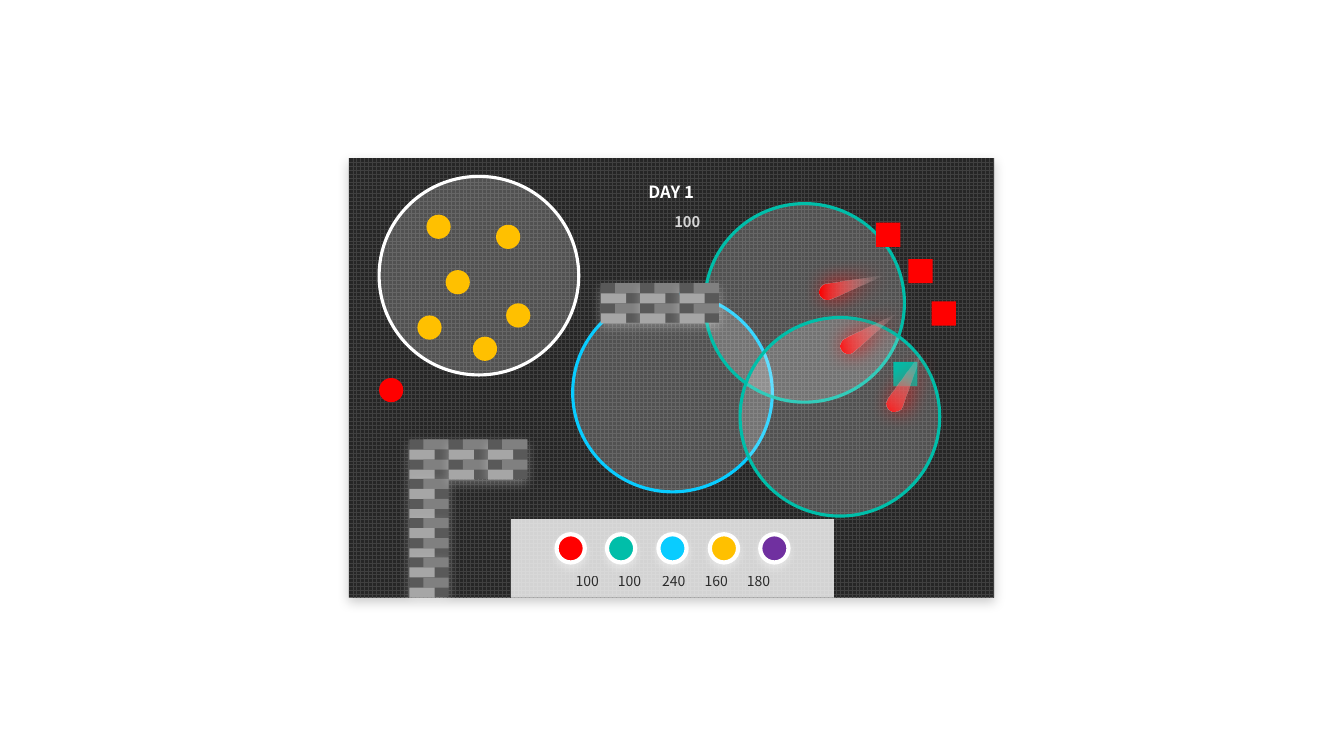
import math

from lxml import etree
from pptx import Presentation
from pptx.dml.color import RGBColor
from pptx.enum.dml import MSO_PATTERN
from pptx.enum.shapes import MSO_SHAPE
from pptx.enum.text import MSO_ANCHOR, MSO_AUTO_SIZE, PP_ALIGN
from pptx.oxml.ns import qn
from pptx.util import Pt

PX = 9144  # EMU; 100 px to the inch
FONT = "Noto Sans CJK SC"
RECT, ELLIPSE = MSO_SHAPE.RECTANGLE, MSO_SHAPE.OVAL
LARGE_GRID = MSO_PATTERN.LARGE_GRID
TOP, LEFT = MSO_ANCHOR.TOP, PP_ALIGN.LEFT
FIT_SHAPE, FIXED = MSO_AUTO_SIZE.SHAPE_TO_FIT_TEXT, MSO_AUTO_SIZE.NONE

BLACK = RGBColor(0x00, 0x00, 0x00)
WHITE = RGBColor(0xFF, 0xFF, 0xFF)
GRID = RGBColor(0x40, 0x40, 0x40)
GROUND = RGBColor(0x26, 0x26, 0x26)
MORTAR = RGBColor(0x59, 0x59, 0x59)
BRICK_DARK = RGBColor(0x80, 0x80, 0x80)
BRICK_LIGHT = RGBColor(0xA6, 0xA6, 0xA6)
RED = RGBColor(0xFF, 0x00, 0x00)
TEAL = RGBColor(0x00, 0xBE, 0xA9)
BLUE = RGBColor(0x09, 0xCC, 0xFF)
GOLD = RGBColor(0xFF, 0xC0, 0x00)
PURPLE = RGBColor(0x70, 0x30, 0xA0)


def set_alpha(element, percent):
    """Make the first RGB colour inside element see-through."""
    color = next(element.iter(qn("a:srgbClr")))
    etree.SubElement(color, qn("a:alpha"), val=str(percent * 1000))


class GameScreen:
    def __init__(self, page):
        self.page = page

    def shape(self, kind, left, top, width, height, fill=None, alpha=100,
              line=None, weight=0, parent=None):
        shapes = (parent or self.page).shapes
        shape = shapes.add_shape(kind, left * PX, top * PX, width * PX, height * PX)
        shape.shadow.inherit = False
        if fill is not None:
            shape.fill.solid()
            shape.fill.fore_color.rgb = fill
            if alpha < 100:
                set_alpha(shape.element, alpha)
        if line is None:
            shape.line.fill.background()
        else:
            shape.line.color.rgb = line
            shape.line.width = Pt(weight)
        return shape

    def glow(self, shape, color, alpha, blur, angle=90):
        """Cast a soft outer shadow three points away."""
        shape.shadow.inherit = False
        effects = next(shape.element.iter(qn("a:effectLst")))
        shadow = etree.SubElement(effects, qn("a:outerShdw"), blurRad=str(Pt(blur)),
                                  dist=str(Pt(3)), dir=str(angle * 60000),
                                  algn="ctr", rotWithShape="0")
        etree.SubElement(shadow, qn("a:srgbClr"), val=str(color))
        set_alpha(shadow, alpha)

    def ground(self):
        field = self.shape(RECT, 346, 157, 640, 436)
        field.fill.patterned()
        field.fill.pattern = LARGE_GRID
        field.fill.fore_color.rgb = GRID
        field.fill.back_color.rgb = GROUND
        self.glow(field, BLACK, 20, 8)

    def zone(self, left, top, line):
        self.shape(ELLIPSE, left, top, 198, 197, WHITE, 20, line, 2.25)

    def token(self, kind, left, top, fill):
        self.shape(kind, left, top, 24, 24, fill)

    def brick_tile(self, left, top):
        tile = self.page.shapes.add_group_shape()
        base = self.shape(RECT, left, top, 39, 39, MORTAR, parent=tile)
        self.glow(base, WHITE, 30, 8)
        for row in range(4):
            shift, fill = (0, BRICK_LIGHT) if row % 2 else (14, BRICK_DARK)
            self.shape(RECT, left + shift, top + 10 * row, 25, 10, fill, parent=tile)

    def comet(self, left, top, rotation=0):
        """Draw a round head with a tail fading to the upper right."""
        arc = [(80 + 80 * math.cos(math.radians(angle)),
                160 + 80 * math.sin(math.radians(angle)))
               for angle in range(70, 266, 5)]
        builder = self.page.shapes.build_freeform(630, 0, scale=PX / 10)
        builder.add_line_segments(arc, close=True)
        comet = builder.convert_to_shape(left * PX, top * PX)
        comet.rotation = rotation
        comet.line.fill.background()
        comet.fill.gradient()
        comet.fill.gradient_angle = 180
        tail, head = comet.fill.gradient_stops
        tail.color.rgb, head.color.rgb = WHITE, RED
        tail.position, head.position = 0, 1
        set_alpha(comet.element, 0)
        self.glow(comet, RED, 100, 16, angle=0)

    def button_row(self, colors):
        row = self.page.shapes.add_group_shape()
        for index, color in enumerate(colors):
            button = self.shape(ELLIPSE, 552 + round(50.5 * index), 530, 28, 28, color,
                                line=WHITE, weight=3, parent=row)
            self.glow(button, WHITE, 40, 6)

    def label(self, box, text, left, top, width, height, size, color,
              alpha=100, bold=False, tabs=()):
        box.left, box.top, box.width, box.height = (
            value * PX for value in (left, top, width, height))
        frame = box.text_frame
        frame.text = text
        frame.word_wrap = bool(tabs)
        frame.auto_size = FIXED if tabs else FIT_SHAPE
        frame.vertical_anchor = TOP
        para = frame.paragraphs[0]
        para.alignment = LEFT
        if tabs:
            stops = etree.SubElement(para._p.get_or_add_pPr(), qn("a:tabLst"))
            for tab in tabs:
                etree.SubElement(stops, qn("a:tab"), pos=str(tab * PX), algn="l")
        font = para.font
        font.name, font.size, font.bold = FONT, Pt(size), bold
        font.color.rgb = color
        if alpha < 100:
            set_alpha(box.element, alpha)

    def text_box(self, *args, **style):
        self.label(self.page.shapes.add_textbox(0, 0, 0, 0), *args, **style)

    def title(self, *args, **style):
        """Fill the title placeholder and bring it above the ground."""
        title = self.page.shapes.title
        title.element.getparent().append(title.element)
        self.label(title, *args, **style)


def main():
    deck = Presentation()
    deck.slide_width, deck.slide_height = 1333 * PX, 750 * PX
    screen = GameScreen(deck.slides.add_slide(deck.slide_layouts[5]))

    screen.ground()
    screen.text_box("100", 659, 206, 49, 29, 10.5, WHITE, alpha=80, bold=True)
    screen.title("DAY 1", 633, 175, 71, 30, 12, WHITE, bold=True)

    screen.zone(568, 291, BLUE)
    screen.token(RECT, 901, 257, RED)
    screen.zone(699, 202, TEAL)
    screen.zone(734, 315, TEAL)
    screen.token(RECT, 886, 359, TEAL)
    screen.zone(376, 175, WHITE)
    for left, top in [(502, 301), (442, 268), (492, 223),
                      (414, 313), (423, 213), (469, 334)]:
        screen.token(ELLIPSE, left, top, GOLD)
    screen.token(RECT, 869, 221, RED)
    screen.token(RECT, 924, 299, RED)
    for left, top, rotation in [(831, 320, 342.8), (813, 273, 0), (869, 368, 313.6)]:
        screen.comet(left, top, rotation)

    screen.token(ELLIPSE, 376, 375, RED)
    screen.shape(RECT, 507, 515, 320, 78, WHITE, 80)
    screen.button_row([RED, TEAL, BLUE, GOLD, PURPLE])
    screen.text_box("100\t100\t240\t160\t180", 561, 563, 231, 28, 10, BLACK,
                    alpha=80, tabs=(42, 86, 128, 170))

    for step in range(4):
        screen.brick_tile(406, 436 + 39 * step)
    for left, top, count in [(445, 436, 2), (596, 281, 3)]:
        for step in range(count):
            screen.brick_tile(left + 39 * step, top)
    deck.save("out.pptx")


if __name__ == "__main__":
    main()
